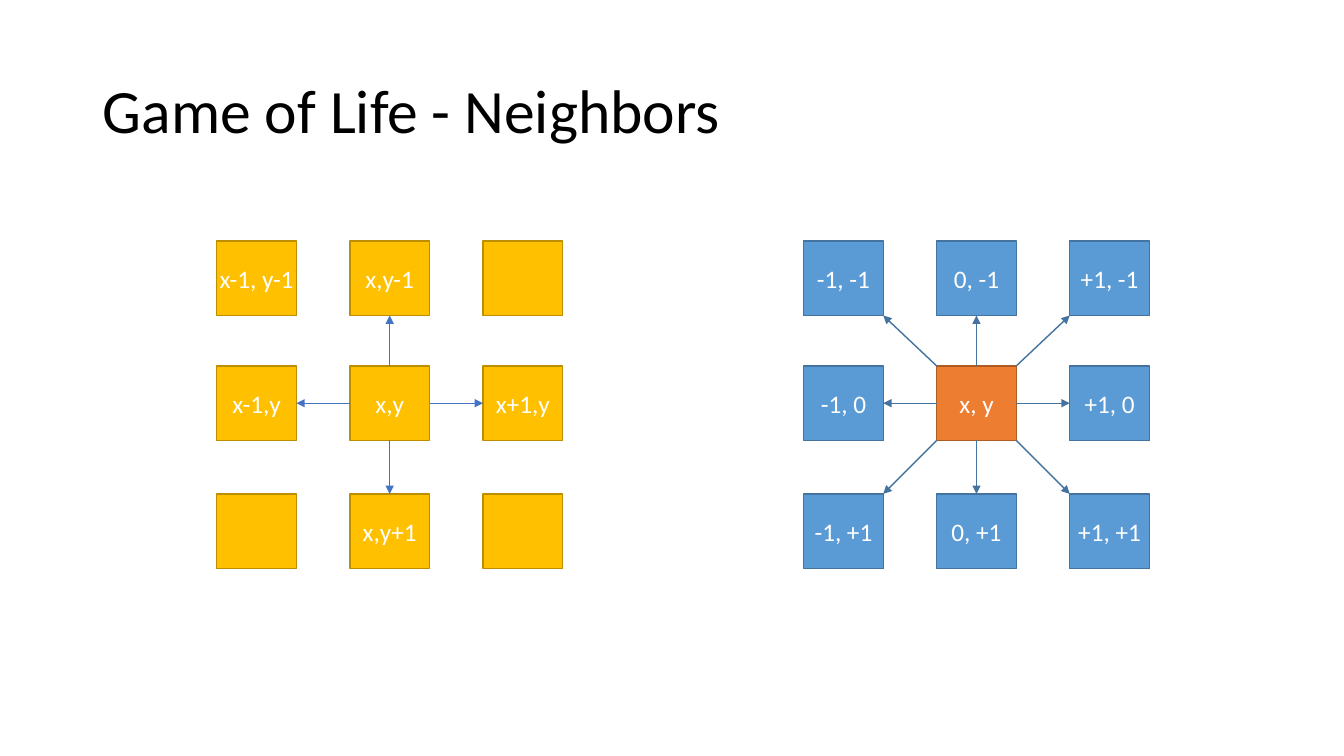
"""Builds the Game of Life neighbors slide."""
from dataclasses import dataclass

from lxml import etree
from pptx import Presentation
from pptx.dml.color import RGBColor
from pptx.enum.shapes import MSO_CONNECTOR, MSO_SHAPE
from pptx.enum.text import MSO_ANCHOR, MSO_AUTO_SIZE, PP_ALIGN
from pptx.oxml.ns import qn
from pptx.util import Inches, Pt

RECTANGLE = MSO_SHAPE.RECTANGLE
STRAIGHT = MSO_CONNECTOR.STRAIGHT
MIDDLE = MSO_ANCHOR.MIDDLE
NO_AUTOFIT = MSO_AUTO_SIZE.NONE
LEFT, CENTER = PP_ALIGN.LEFT, PP_ALIGN.CENTER


@dataclass(frozen=True)
class Theme:
    """Colours, font and type sizes of the slide."""
    font: str = "Calibri"
    title_size: int = 44
    cell_size: int = 18
    title_color: str = "000000"
    cell_text: str = "FFFFFF"
    yellow: tuple = ("FFC000", "BD8E00")
    blue: tuple = ("5B9BD5", "43739E")
    orange: tuple = ("ED7D31", "AF5C24")
    yellow_arrow: tuple = ("4472C4", 0.5)
    blue_arrow: tuple = ("43739E", 1)


THEME = Theme()
CELL_WIDTH, CELL_HEIGHT = 0.79, 0.74
COLUMN_STEP = 1.32
ROW_TOPS = (2.39, 3.63, 4.9)
CONNECTION_SITES = {(0, -1): 0, (-1, 0): 1, (0, 1): 2, (1, 0): 3}
DIAGONALS = ((-1, -1), (-1, 1), (1, -1), (1, 1))

ABSOLUTE_LABELS = (
    ("x-1, y-1", "x,y-1", ""),
    ("x-1,y", "x,y", "x+1,y"),
    ("", "x,y+1", ""),
)
OFFSET_LABELS = (
    ("-1, -1", "0, -1", "+1, -1"),
    ("-1, 0", "x, y", "+1, 0"),
    ("-1, +1", "0, +1", "+1, +1"),
)


def format_paragraph(paragraph, size, color, alignment):
    """Sets the alignment and font of a paragraph's runs."""
    paragraph.alignment = alignment
    for run in paragraph.runs:
        run.font.name = THEME.font
        run.font.size = Pt(size)
        run.font.color.rgb = RGBColor.from_string(color)


def set_title(slide, text):
    """Fills and places the title placeholder."""
    title = slide.shapes.title
    title.left, title.top = Inches(0.92), Inches(0.4)
    title.width, title.height = Inches(11.5), Inches(1.45)
    frame = title.text_frame
    frame.text = text
    frame.auto_size = NO_AUTOFIT
    frame.vertical_anchor = MIDDLE
    paragraph = frame.paragraphs[0]
    paragraph.line_spacing = 0.9
    format_paragraph(paragraph, THEME.title_size, THEME.title_color, LEFT)


def add_cell(slide, left, top, label, colors):
    """Adds one labelled cell and returns it."""
    fill, outline = colors
    cell = slide.shapes.add_shape(
        RECTANGLE, Inches(left), Inches(top), Inches(CELL_WIDTH), Inches(CELL_HEIGHT))
    cell.shadow.inherit = False
    cell.fill.solid()
    cell.fill.fore_color.rgb = RGBColor.from_string(fill)
    cell.line.color.rgb = RGBColor.from_string(outline)
    cell.line.width = Pt(1)
    frame = cell.text_frame
    frame.text = label
    frame.word_wrap = False
    frame.vertical_anchor = MIDDLE
    format_paragraph(frame.paragraphs[0], THEME.cell_size, THEME.cell_text, CENTER)
    return cell


def edge_point(cell, direction):
    """Returns the point on a cell's edge or corner in a direction."""
    across, down = direction
    return (cell.left + cell.width * (1 + across) // 2,
            cell.top + cell.height * (1 + down) // 2)


def add_arrow(slide, center, neighbor, direction, style):
    """Adds an arrow from the center cell to a neighbor."""
    color, width = style
    opposite = (-direction[0], -direction[1])
    arrow = slide.shapes.add_connector(
        STRAIGHT, *edge_point(center, direction), *edge_point(neighbor, opposite))
    if direction in CONNECTION_SITES:
        arrow.begin_connect(center, CONNECTION_SITES[direction])
        arrow.end_connect(neighbor, CONNECTION_SITES[opposite])
    arrow.line.color.rgb = RGBColor.from_string(color)
    arrow.line.width = Pt(width)
    etree.SubElement(arrow.line._get_or_add_ln(), qn("a:tailEnd"), type="triangle")
    etree.SubElement(arrow._element.spPr, qn("a:effectLst"))


def add_neighborhood(slide, left, labels, colors, center_colors, directions, style):
    """Adds a grid of cells with arrows from its center."""
    cells = {}
    for row, (top, row_labels) in enumerate(zip(ROW_TOPS, labels)):
        for column, label in enumerate(row_labels):
            position = (column - 1, row - 1)
            cell_colors = center_colors if position == (0, 0) else colors
            cells[position] = add_cell(
                slide, left + column * COLUMN_STEP, top, label, cell_colors)
    for direction in directions:
        add_arrow(slide, cells[0, 0], cells[direction], direction, style)


def main():
    """Builds and saves the presentation."""
    presentation = Presentation()
    presentation.slide_width = Inches(13.33)
    presentation.slide_height = Inches(7.5)
    slide = presentation.slides.add_slide(presentation.slide_layouts.get_by_name("Title Only"))
    set_title(slide, "Game of Life - Neighbors")
    straight = tuple(CONNECTION_SITES)
    add_neighborhood(slide, 2.15, ABSOLUTE_LABELS, THEME.yellow, THEME.yellow,
                     straight, THEME.yellow_arrow)
    add_neighborhood(slide, 7.97, OFFSET_LABELS, THEME.blue, THEME.orange,
                     straight + DIAGONALS, THEME.blue_arrow)
    presentation.save("out.pptx")


if __name__ == "__main__":
    main()
